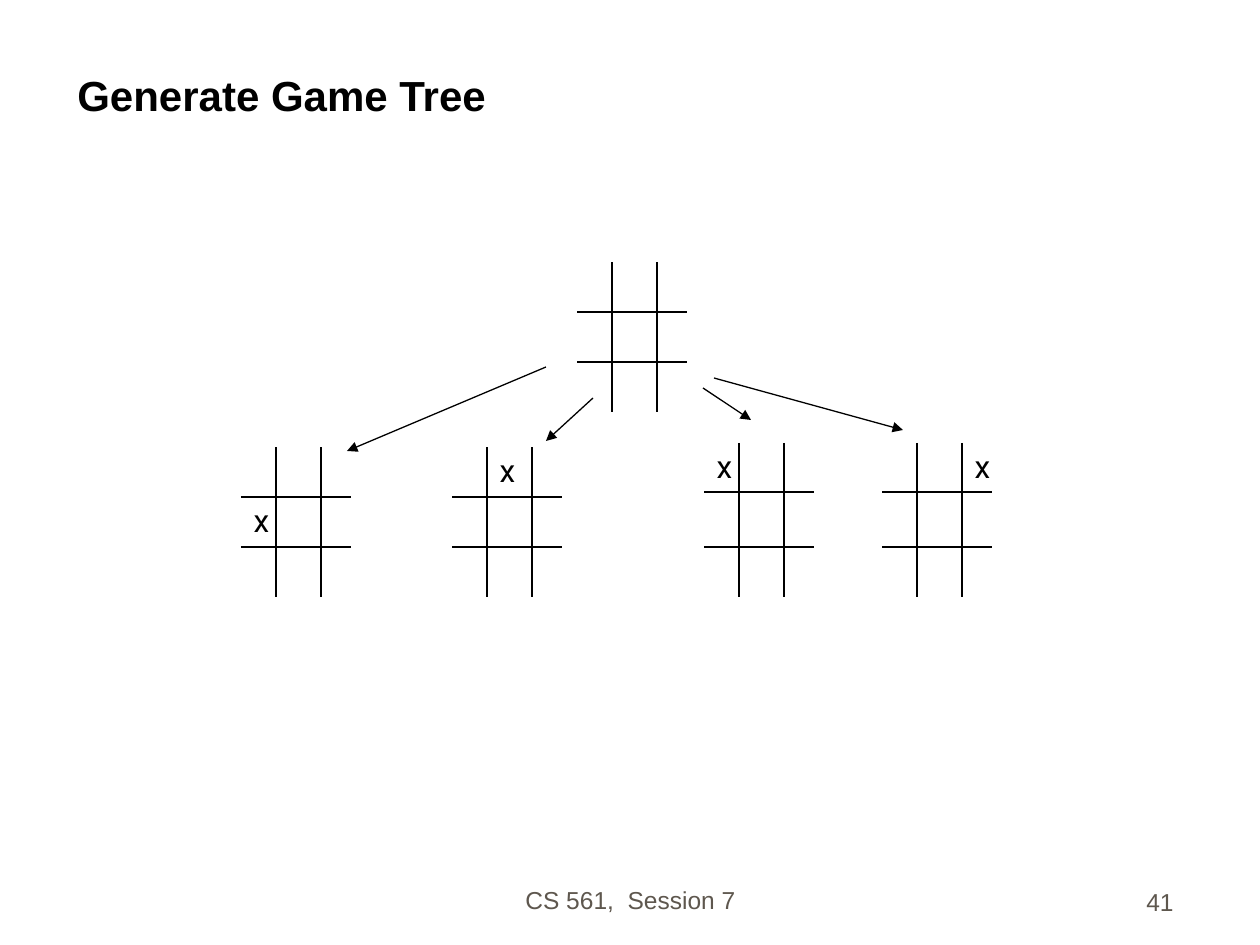
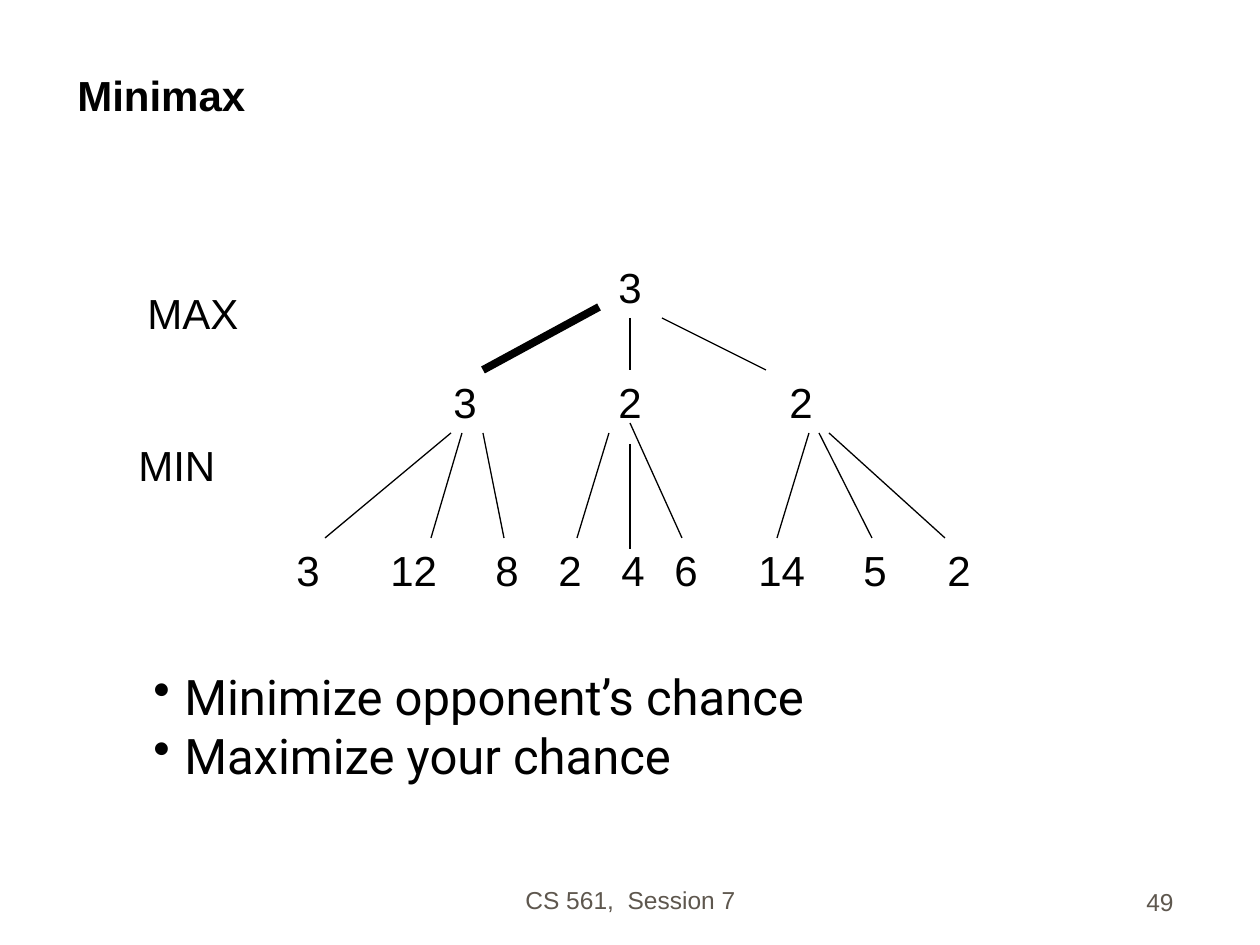
"""Build two lecture slides: a tic-tac-toe game tree and a minimax tree."""
import pptx
import pptx.dml.color
import pptx.enum.text
import pptx.oxml
import pptx.oxml.ns
import pptx.util
from lxml import etree

PX = 914400 / 126
BLACK = pptx.dml.color.RGBColor(0x00, 0x00, 0x00)
TAUPE = pptx.dml.color.RGBColor(0x5E, 0x57, 0x4E)
HEADING_FONT, BODY_FONT = "Arial", "Roboto"
ALIGN = pptx.enum.text.PP_ALIGN
ANCHOR = pptx.enum.text.MSO_ANCHOR
COURSE = "CS 561,  Session 7"

GAME_TREE = {
    "title": "Generate Game Tree",
    "page": "41",
    "column_widths": (35, 45, 29),
    "even_rows": (50, 50, 50),
    "tall_middle": (49, 55, 50),
    "boards": [
        (577, 262, "even_rows", None),
        (241, 447, "even_rows", (1, 0)),
        (452, 447, "even_rows", (0, 1)),
        (704, 443, "tall_middle", (0, 0)),
        (882, 443, "tall_middle", (0, 2)),
    ],
    "moves": [
        ((546, 367), (347, 451)),
        ((593, 398), (546, 441)),
        ((703, 388), (751, 420)),
        ((714, 378), (903, 430)),
    ],
}

MINIMAX = {
    "title": "Minimax",
    "page": "49",
    "levels": [
        (255, [("3", 606)]),
        (370, [("3", 441), ("2", 606), ("2", 777)]),
        (538, [("3", 284), ("12", 378), ("8", 483),
               ("2", 546), ("4", 609), ("6", 662),
               ("14", 746), ("5", 851), ("2", 935)]),
    ],
    "players": [("MAX", 135, 281), ("MIN", 126, 433)],
    "best_move": ((599, 307), (483, 370)),
    "branches": [
        ((630, 318), (630, 370)), ((662, 318), (766, 370)),
        ((451, 433), (325, 538)), ((462, 433), (431, 538)),
        ((483, 433), (504, 538)),
        ((609, 433), (577, 538)), ((630, 444), (630, 549)),
        ((630, 423), (682, 538)),
        ((809, 433), (777, 538)), ((819, 433), (872, 538)),
        ((829, 433), (945, 538)),
    ],
    "goals": ["Minimize opponent’s chance", "Maximize your chance"],
}


def px(length):
    return pptx.util.Emu(round(length * PX))


def format_paragraph(paragraph, text, size, font, color, bold, align):
    paragraph.alignment = align
    run = paragraph.add_run()
    run.text = text
    run.font.size = pptx.util.Pt(size)
    run.font.name = font
    run.font.bold = bold
    run.font.color.rgb = color


def add_text(slide, lines, left, top, width, height, *, size=24,
             font=HEADING_FONT, color=BLACK, bold=False, align=ALIGN.LEFT,
             anchor=ANCHOR.TOP, wrap=True, bullet_indent=0):
    frame = slide.shapes.add_textbox(px(left), px(top), px(width), px(height)).text_frame
    frame.word_wrap = wrap
    frame.vertical_anchor = anchor
    for index, line in enumerate(lines):
        paragraph = frame.add_paragraph() if index else frame.paragraphs[0]
        if bullet_indent:
            properties = paragraph._p.get_or_add_pPr()
            properties.set("marL", str(px(bullet_indent)))
            properties.set("indent", str(-px(bullet_indent)))
            bullet = etree.SubElement(properties, pptx.oxml.ns.qn("a:buChar"))
            bullet.set("char", "•")
        format_paragraph(paragraph, line, size, font, color, bold, align)


def add_line(slide, start, end, weight=0.75, arrow=False):
    line = slide.shapes.add_connector(
        pptx.enum.shapes.MSO_CONNECTOR.STRAIGHT, *map(px, start + end))
    line.line.color.rgb = BLACK
    line.line.width = pptx.util.Pt(weight)
    if arrow:
        head = etree.SubElement(line.line._get_or_add_ln(), pptx.oxml.ns.qn("a:tailEnd"))
        head.set("type", "triangle")
    etree.SubElement(line._element.spPr, pptx.oxml.ns.qn("a:effectLst"))


def draw_borders(cell, row, column):
    inner = {"L": column > 0, "R": column < 2, "T": row > 0, "B": row < 2}
    for side, visible in inner.items():
        paint = (f'<a:solidFill><a:srgbClr val="{BLACK}"/></a:solidFill>'
                 if visible else "<a:noFill/>")
        cell._tc.get_or_add_tcPr().append(pptx.oxml.parse_xml(
            f'<a:ln{side} {pptx.oxml.ns.nsdecls("a")} w="12700">{paint}</a:ln{side}>'))
    cell.fill.background()


def add_board(slide, left, top, row_heights, mark):
    widths = GAME_TREE["column_widths"]
    board = slide.shapes.add_table(
        3, 3, px(left), px(top), px(sum(widths)), px(sum(row_heights))).table
    board.first_row = board.horz_banding = False
    for index in range(3):
        board.columns[index].width = px(widths[index])
        board.rows[index].height = px(row_heights[index])
    for row in range(3):
        for column in range(3):
            cell = board.cell(row, column)
            cell.margin_bottom = 0
            draw_borders(cell, row, column)
            if (row, column) == mark:
                format_paragraph(cell.text_frame.paragraphs[0], "x", 18,
                                 BODY_FONT, BLACK, False, ALIGN.LEFT)


def add_slide(deck, content):
    slide = deck.slides.add_slide(deck.slide_layouts[6])
    footer = dict(size=14, color=TAUPE, anchor=ANCHOR.BOTTOM)
    add_text(slide, [COURSE], 431, 858, 399, 63, align=ALIGN.CENTER, **footer)
    add_text(slide, [content["page"]], 924, 860, 262, 63, align=ALIGN.RIGHT, **footer)
    add_text(slide, [content["title"]], 65, 31, 1124, 95, bold=True, anchor=ANCHOR.BOTTOM)
    return slide


def build_game_tree(deck):
    slide = add_slide(deck, GAME_TREE)
    for left, top, rows, mark in GAME_TREE["boards"]:
        add_board(slide, left, top, GAME_TREE[rows], mark)
    for start, end in GAME_TREE["moves"]:
        add_line(slide, start, end, arrow=True)


def build_minimax(deck):
    slide = add_slide(deck, MINIMAX)
    for top, nodes in MINIMAX["levels"]:
        for value, left in nodes:
            add_text(slide, [value], left, top, 25 + 24 * len(value), 63, wrap=False)
    add_line(slide, *MINIMAX["best_move"], weight=4.5)
    for start, end in MINIMAX["branches"]:
        add_line(slide, start, end)
    for player, left, top in MINIMAX["players"]:
        add_text(slide, [player], left, top, 116 if player == "MAX" else 102, 63, wrap=False)
    add_text(slide, MINIMAX["goals"], 141, 660, 737, 130, size=28,
             font=BODY_FONT, bullet_indent=31)


def main():
    deck = pptx.Presentation()
    deck.slide_width, deck.slide_height = px(1260), px(945)
    build_game_tree(deck)
    build_minimax(deck)
    deck.save("out.pptx")


if __name__ == "__main__":
    main()
